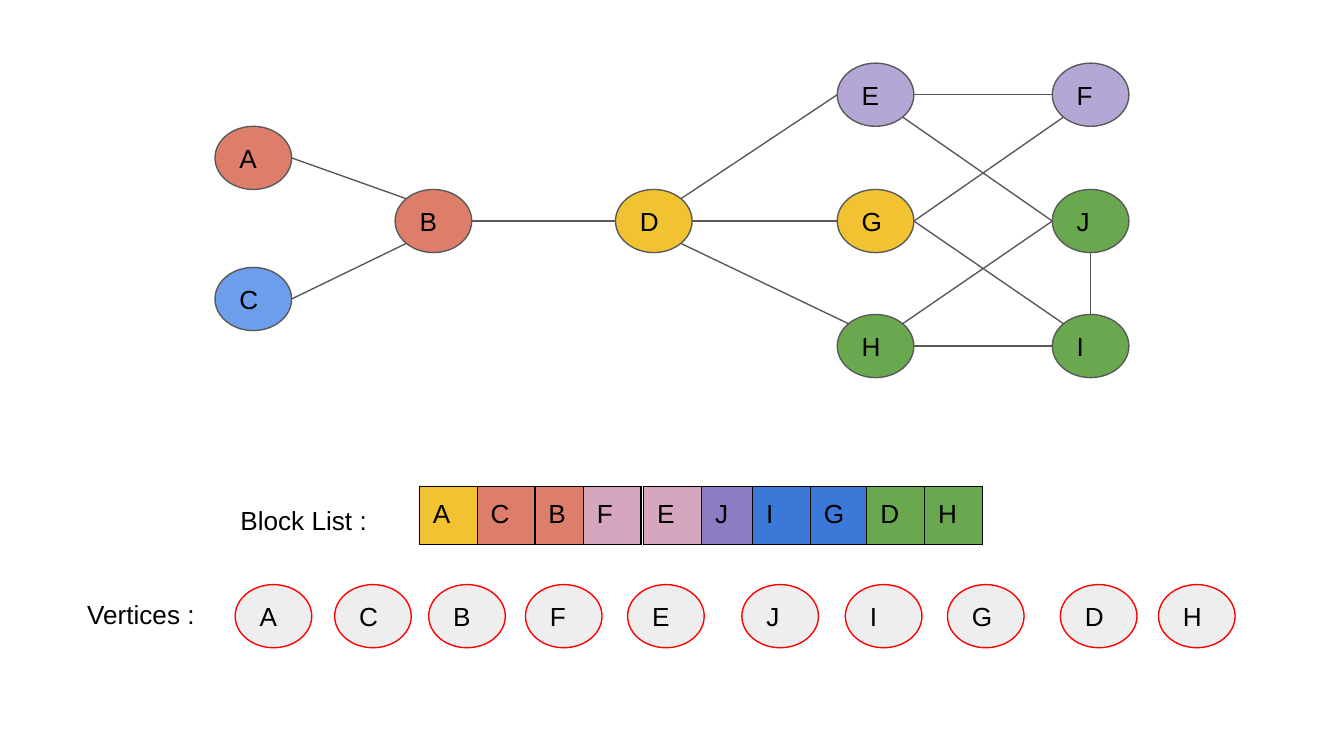
from math import cos, radians, sin

from lxml import etree
from pptx import Presentation
from pptx.dml.color import RGBColor
from pptx.enum.shapes import MSO_CONNECTOR, MSO_SHAPE
from pptx.enum.text import MSO_ANCHOR, PP_ALIGN
from pptx.oxml.ns import qn
from pptx.util import Inches, Pt

OVAL, STRAIGHT = MSO_SHAPE.OVAL, MSO_CONNECTOR.STRAIGHT
TOP, MIDDLE, LEFT = MSO_ANCHOR.TOP, MSO_ANCHOR.MIDDLE, PP_ALIGN.LEFT

# Content: labels as text, left, top, width
LABELS = [("Block List :", 1.69, 3.65, 1.34), ("Vertices :", 0.55, 4.35, 1.03)]

# Vertices row: letter, left
VERTICES = [("A", 1.75), ("C", 2.49), ("B", 3.19), ("F", 3.91), ("E", 4.67),
            ("J", 5.52), ("I", 6.29), ("G", 7.05), ("D", 7.89), ("H", 8.62)]
VERTICES_TOP = 4.35

# Block list: left of each block, then its letters and fills
BLOCKS = [
    (3.12, [("A", "F1C232"), ("C", "DD7E6B")]),
    (3.98, [("B", "DD7E6B")]),
    (4.34, [("F", "D5A6BD")]),
    (4.79, [("E", "D5A6BD"), ("J", "8E7CC3")]),
    (5.60, [("I", "3C78D8"), ("G", "3C78D8")]),
    (6.45, [("D", "6AA84F"), ("H", "6AA84F")]),
]
BLOCKS_TOP, CELL_WIDTH, CELL_HEIGHT = 3.62, 0.43, 0.42

# Graph: letter -> left, top, fill
NODES = {
    "A": (1.6, 0.94, "DD7E6B"), "C": (1.6, 1.99, "6D9EEB"),
    "B": (2.94, 1.41, "DD7E6B"), "D": (4.58, 1.41, "F1C232"),
    "E": (6.23, 0.47, "B4A7D6"), "G": (6.23, 1.41, "F1C232"),
    "H": (6.23, 2.34, "6AA84F"), "F": (7.83, 0.47, "B4A7D6"),
    "J": (7.83, 1.41, "6AA84F"), "I": (7.83, 2.34, "6AA84F"),
}
NODE_WIDTH, NODE_HEIGHT = 0.57, 0.47

# Edges: node and side where each one starts and ends
EDGES = ["A.e B.nw", "C.e B.sw", "B.e D.w", "D.ne E.w", "D.e G.w", "D.se H.nw",
         "E.e F.w", "H.e I.w", "G.e F.sw", "G.e I.nw", "J.s I.n", "H.ne J.w",
         "J.w E.se"]
SIDE_ANGLES = {side: 45 * step for step, side in
               enumerate(["e", "se", "s", "sw", "w", "nw", "n", "ne"])}


def color(value):
    return RGBColor.from_string(value)


def write(frame, text):
    frame.text = text
    paragraph = frame.paragraphs[0]
    paragraph.alignment = LEFT
    font = paragraph.runs[0].font
    font.name, font.size = "Arial", Pt(14)
    font.color.rgb = color("000000")


def set_margins(box):
    box.margin_left = box.margin_right = Inches(0.1)
    box.margin_top = box.margin_bottom = Inches(0.1)


def add_node(slide, letter, left, top, fill, line):
    node = slide.shapes.add_shape(OVAL, Inches(left), Inches(top),
                                  Inches(NODE_WIDTH), Inches(NODE_HEIGHT))
    node.shadow.inherit = False
    node.fill.solid()
    node.fill.fore_color.rgb = color(fill)
    node.line.color.rgb = color(line)
    node.line.width = Pt(0.75)
    set_margins(node.text_frame)
    node.text_frame.vertical_anchor = MIDDLE
    write(node.text_frame, letter)


def add_borders(cell):
    properties = cell._tc.get_or_add_tcPr()
    for position, side in enumerate(["a:lnL", "a:lnR", "a:lnT", "a:lnB"]):
        border = etree.Element(qn(side), w=str(Pt(0.75)))
        fill = etree.SubElement(border, qn("a:solidFill"))
        etree.SubElement(fill, qn("a:srgbClr"), val="000000")
        properties.insert(position, border)


def add_block(slide, left, entries):
    block = slide.shapes.add_table(
        1, len(entries), Inches(left), Inches(BLOCKS_TOP),
        Inches(CELL_WIDTH * len(entries)), Inches(CELL_HEIGHT)).table
    block.first_row = block.horz_banding = False
    for column, (letter, fill) in enumerate(entries):
        block.columns[column].width = Inches(CELL_WIDTH)
        cell = block.cell(0, column)
        cell.fill.solid()
        cell.fill.fore_color.rgb = color(fill)
        cell.vertical_anchor = TOP
        set_margins(cell)
        write(cell.text_frame, letter)
        add_borders(cell)


def edge_point(end):
    letter, side = end.split(".")
    left, top, _ = NODES[letter]
    angle = radians(SIDE_ANGLES[side])
    return (Inches(left + NODE_WIDTH / 2 * (1 + cos(angle))),
            Inches(top + NODE_HEIGHT / 2 * (1 + sin(angle))))


def add_edge(slide, start, end):
    edge = slide.shapes.add_connector(STRAIGHT, *edge_point(start), *edge_point(end))
    edge.line.color.rgb = color("595959")
    edge.line.width = Pt(0.75)
    etree.SubElement(edge._element.spPr, qn("a:effectLst"))


def main():
    # Widescreen 16:9 slide
    deck = Presentation()
    deck.slide_width = Inches(10)
    deck.slide_height = deck.slide_width * 9 // 16
    slide = deck.slides.add_slide(deck.slide_layouts[6])

    # Row labels
    for text, left, top, width in LABELS:
        label = slide.shapes.add_textbox(Inches(left), Inches(top),
                                         Inches(width), Inches(0.37))
        label.text_frame.word_wrap = True
        set_margins(label.text_frame)
        write(label.text_frame, text)

    # Vertices and block list
    for letter, left in VERTICES:
        add_node(slide, letter, left, VERTICES_TOP, "EEEEEE", "FF0000")
    for left, entries in BLOCKS:
        add_block(slide, left, entries)

    # Graph
    for letter, (left, top, fill) in NODES.items():
        add_node(slide, letter, left, top, fill, "595959")
    for edge in EDGES:
        add_edge(slide, *edge.split())

    deck.save("out.pptx")


if __name__ == "__main__":
    main()
